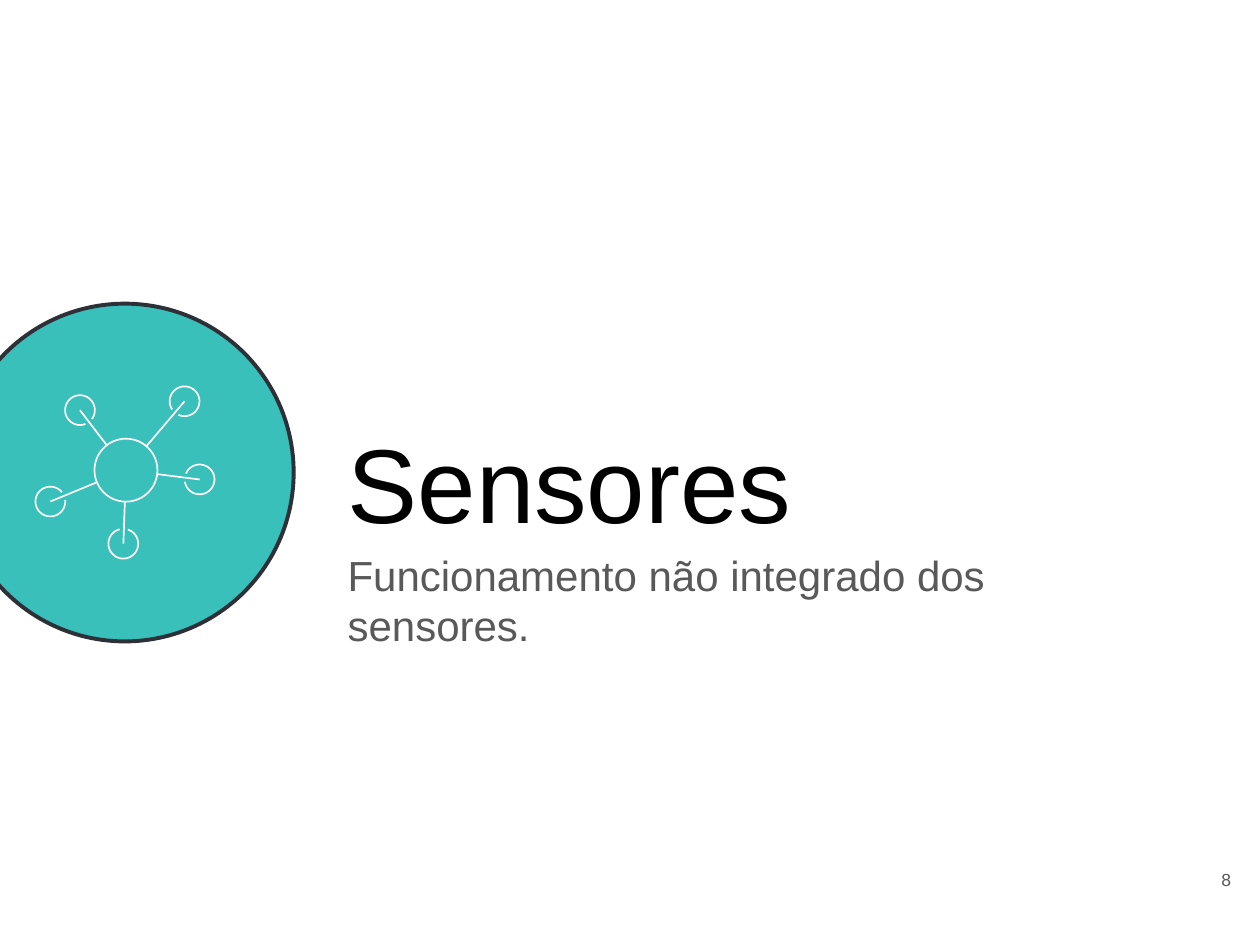
from math import atan2, cos, hypot, radians, sin
from lxml import etree
from pptx import Presentation
from pptx.dml.color import RGBColor
from pptx.enum.shapes import MSO_CONNECTOR, MSO_SHAPE
from pptx.enum.text import MSO_ANCHOR, MSO_AUTO_SIZE, PP_ALIGN
from pptx.oxml.ns import qn
from pptx.util import Pt

OVAL, LINE = MSO_SHAPE.OVAL, MSO_CONNECTOR.STRAIGHT
TOP, MIDDLE = MSO_ANCHOR.TOP, MSO_ANCHOR.MIDDLE
LEFT, RIGHT = PP_ALIGN.LEFT, PP_ALIGN.RIGHT
NO_FIT = MSO_AUTO_SIZE.NONE

TEAL = RGBColor(0x39, 0xC0, 0xBA)
DARK = RGBColor(0x2E, 0x30, 0x37)
WHITE = RGBColor(0xFF, 0xFF, 0xFF)
BLACK = RGBColor(0, 0, 0)
GRAY = RGBColor(0x59, 0x59, 0x59)

TITLE = "Sensores"
SUB = "Funcionamento não integrado dos sensores."
PAGE = "8"

DISC = (71.3, 270, 96.5)
HUB = (72, 268.7, 18)
NODES = [(105.5, 229.3), (45.7, 234.4), (28.8, 286.6), (70.5, 310.7), (114.1, 274)]
RADIUS = 8.5
GAP = radians(32)
STEPS = 60


def stroke(shape, color, width):
    shape.line.color.rgb = color
    shape.line.width = Pt(width)


def circle(x, y, r):
    shape = slide.shapes.add_shape(OVAL, Pt(x - r), Pt(y - r), Pt(2 * r), Pt(2 * r))
    shape.shadow.inherit = False
    return shape


def write(shape, box, text, size, color, align=LEFT, anchor=TOP, before=0, space=1):
    shape.left, shape.top, shape.width, shape.height = map(Pt, box)
    frame = shape.text_frame
    frame.text = text
    frame.word_wrap = True
    frame.auto_size = NO_FIT
    frame.vertical_anchor = anchor
    frame.margin_left = frame.margin_right = Pt(7.2)
    frame.margin_top = frame.margin_bottom = Pt(7.2)
    para = frame.paragraphs[0]
    para.alignment = align
    para.space_before = Pt(before)
    para.line_spacing = space
    font = para.runs[0].font
    font.name, font.size, font.color.rgb = "Arial", Pt(size), color


def ring(x, y, turn):
    span = 2 * radians(180) - GAP
    start = turn - GAP / 2
    angles = [start - span * i / STEPS for i in range(STEPS + 1)]
    points = [(Pt(x + RADIUS * cos(a)), Pt(y + RADIUS * sin(a))) for a in angles]
    path = slide.shapes.build_freeform(*points[0])
    path.add_line_segments(points[1:], close=False)
    shape = path.convert_to_shape()
    shape.shadow.inherit = False
    shape.fill.background()
    stroke(shape, WHITE, 0.96)


def spoke(x, y):
    hx, hy, r = HUB
    part = r / hypot(x - hx, y - hy)
    ends = (x, y, hx + (x - hx) * part, hy + (y - hy) * part)
    line = slide.shapes.add_connector(LINE, *map(Pt, ends))
    stroke(line, WHITE, 0.96)
    etree.SubElement(line._element.spPr, qn("a:effectLst"))


deck = Presentation()
deck.slide_width, deck.slide_height = Pt(720), Pt(540)
slide = deck.slides.add_slide(deck.slide_layouts[5])

disc = circle(*DISC)
disc.fill.solid()
disc.fill.fore_color.rgb = TEAL
stroke(disc, DARK, 2.25)

write(slide.shapes.title, (191.5, 208.8, 474.5, 121.7), TITLE, 60, BLACK,
      anchor=MIDDLE, space=1.15)
sub = slide.shapes.add_textbox(0, 0, 0, 0)
write(sub, (191.5, 306.7, 474.5, 82), SUB, 24, GRAY, before=6)
page = slide.shapes.add_textbox(0, 0, 0, 0)
write(page, (667.4, 489.6, 43.2, 41), PAGE, 10, GRAY, align=RIGHT)

for x, y in NODES:
    ring(x, y, atan2(HUB[1] - y, HUB[0] - x))
hub = circle(*HUB)
hub.fill.background()
stroke(hub, WHITE, 0.96)
for x, y in NODES:
    spoke(x, y)

deck.save("out.pptx")
